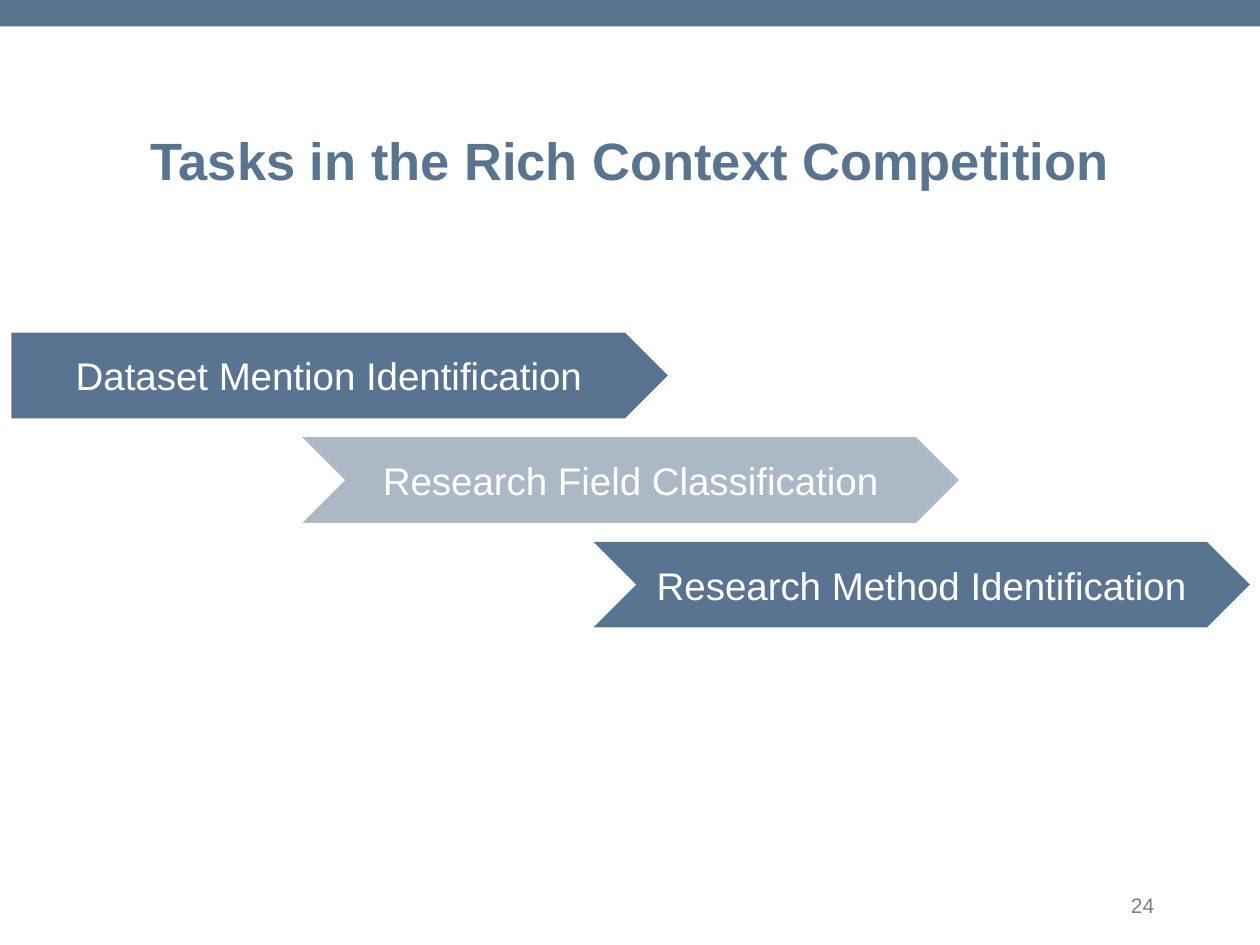
from dataclasses import dataclass

from lxml import etree
from pptx import Presentation
from pptx import util as u
from pptx.dml.color import RGBColor
from pptx.enum import shapes, text
from pptx.oxml.ns import qn

WIDTH, HEIGHT = 10, 7.5


@dataclass(frozen=True)
class Theme:
    font: str = "Arial"
    band: str = "58748F"
    step: str = "597490"
    on_step: str = "FFFFFF"
    muted: str = "7F7F7F"
    title_size: int = 30
    step_size: int = 22
    number_size: int = 12


THEME = Theme()
TASKS = (
    "Dataset Mention Identification",
    "Research Field Classification",
    "Research Method Identification",
)
# Staircase of arrows: first corner, arrow size and offset per step
STAIR_LEFT, STAIR_TOP = 0.09, 2.64
STEP_WIDTH, STEP_HEIGHT = 5.21, 0.68
STEP_RIGHT, STEP_DOWN = 2.31, 0.83


def inches(*lengths):
    return [u.Inches(length) for length in lengths]


def write(holder, words, *, size, color, bold=False,
          align=text.PP_ALIGN.CENTER, inset=0.05):
    """Put one formatted line, vertically centred, into a shape or text box."""
    frame = holder.text_frame
    frame.word_wrap = True
    frame.vertical_anchor = text.MSO_ANCHOR.MIDDLE
    frame.margin_left = frame.margin_right = u.Inches(0.1)
    frame.margin_top = frame.margin_bottom = u.Inches(inset)
    line = frame.paragraphs[0]
    line.alignment = align
    run = line.add_run()
    run.text = words
    run.font.name = THEME.font
    run.font.size = u.Pt(size)
    run.font.bold = bold
    run.font.color.rgb = RGBColor.from_string(color)


def add_label(slide, box, words, **style):
    write(slide.shapes.add_textbox(*inches(*box)), words, **style)


def add_block(slide, kind, box, color, opacity=100):
    """Add a borderless filled shape; opacity is in percent."""
    block = slide.shapes.add_shape(kind, *inches(*box))
    block.shadow.inherit = False
    block.line.fill.background()
    block.fill.solid()
    block.fill.fore_color.rgb = RGBColor.from_string(color)
    if opacity < 100:
        tint = block.fill._xPr.find(qn("a:solidFill"))[0]
        etree.SubElement(tint, qn("a:alpha"), val=str(opacity * 1000))
    return block


def add_task(slide, index, words):
    first, highlighted = index == 0, index % 2 == 0
    kind = shapes.MSO_SHAPE.PENTAGON if first else shapes.MSO_SHAPE.CHEVRON
    box = (STAIR_LEFT + index * STEP_RIGHT, STAIR_TOP + index * STEP_DOWN,
           STEP_WIDTH, STEP_HEIGHT)
    arrow = add_block(slide, kind, box,
                      THEME.step if highlighted else THEME.band,
                      opacity=100 if highlighted else 50)
    arrow.adjustments[0] = 0.5
    write(arrow, words, size=THEME.step_size, color=THEME.on_step, inset=0.1)


def main():
    deck = Presentation()
    deck.slide_width, deck.slide_height = inches(WIDTH, HEIGHT)
    slide = deck.slides.add_slide(deck.slide_layouts[6])

    add_block(slide, shapes.MSO_SHAPE.RECTANGLE, (0, 0, WIDTH, 0.21), THEME.band)
    add_label(slide, (0.75, 0.99, WIDTH - 2 * 0.75, 0.56),
              "Tasks in the Rich Context Competition",
              size=THEME.title_size, color=THEME.band, bold=True)
    add_label(slide, (7.13, 6.98, 2.13, 0.4), "24", size=THEME.number_size,
              color=THEME.muted, align=text.PP_ALIGN.RIGHT)
    for index, words in enumerate(TASKS):
        add_task(slide, index, words)

    deck.save("out.pptx")


if __name__ == "__main__":
    main()
